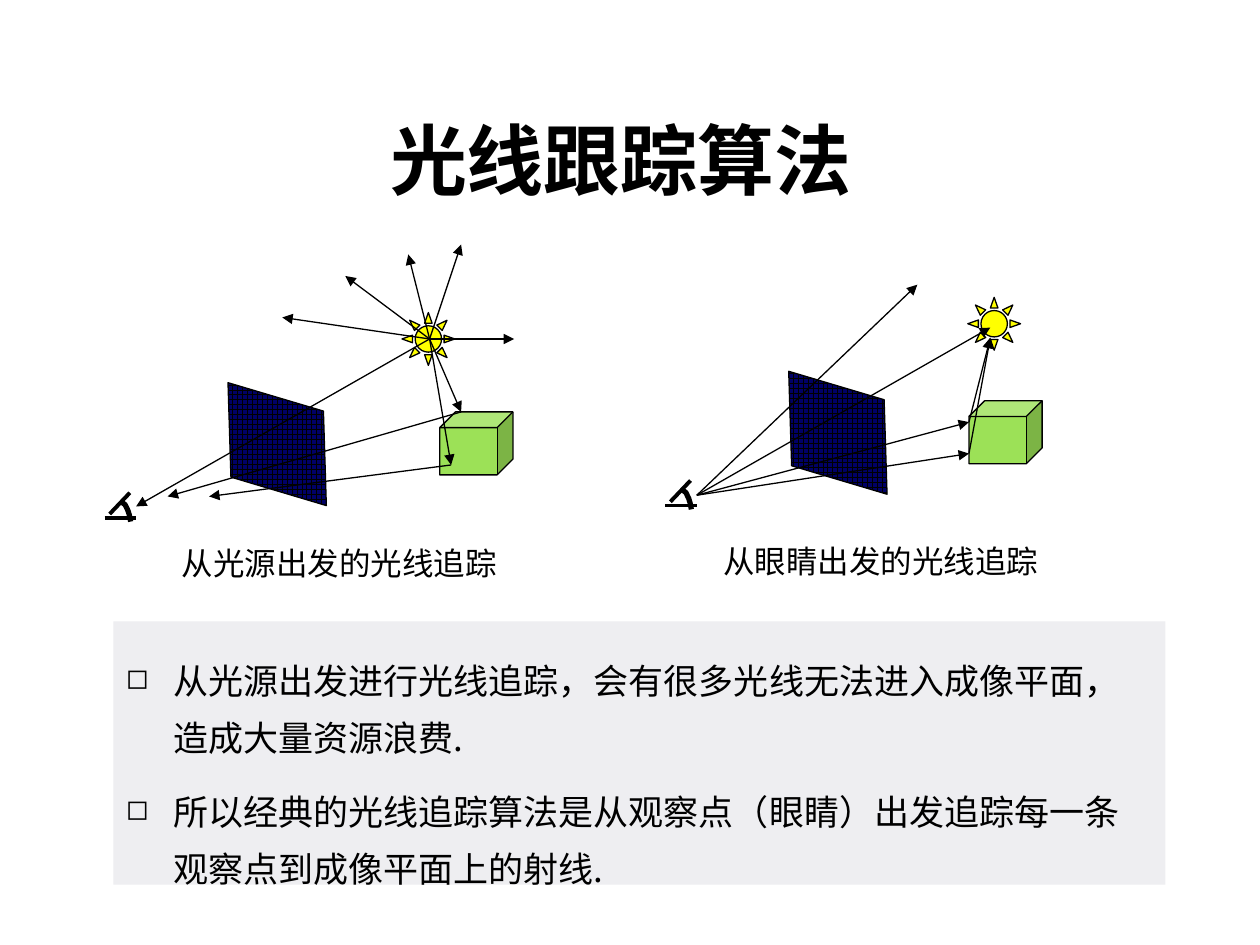
from typing import NamedTuple

from lxml.etree import SubElement
from pptx import Presentation
from pptx.dml.color import RGBColor
from pptx.enum.dml import MSO_PATTERN
from pptx.enum.shapes import MSO_CONNECTOR, MSO_SHAPE as Preset
from pptx.enum.text import MSO_ANCHOR, PP_ALIGN
from pptx.oxml.ns import qn
from pptx.util import Pt

BLACK = RGBColor(0x00, 0x00, 0x00)
NAVY = RGBColor(0x00, 0x00, 0x66)
YELLOW = RGBColor(0xFF, 0xFF, 0x00)
GREEN = RGBColor(0x9C, 0xE1, 0x57)
PALE = RGBColor(0xEE, 0xEE, 0xF1)


class Point(NamedTuple):
    x: float
    y: float


class Scene(NamedTuple):
    sun: Point
    screen: Point
    cube: Point
    eye: Point
    rays: list[tuple[Point, Point]]


class Label(NamedTuple):
    text: str
    left: float
    top: float
    width: float
    height: float
    size: float
    font: str
    bold: bool = False


LAMP = Point(245.5, 193.7)
LIT_TOP, LIT_FRONT = Point(263.5, 235.4), Point(257.8, 265.7)
SPREAD = [Point(161.3, 181.4), Point(197.3, 157.7), Point(263.5, 139.7),
          Point(293.8, 193.7), Point(233.3, 145.4), LIT_TOP, LIT_FRONT,
          Point(77.8, 289.4)]
VIEW, SUN_EDGE = Point(398.2, 283), Point(565.9, 193)
SEEN_TOP, SEEN_FRONT = Point(553.7, 241.2), Point(553.7, 259.2)
SIGHT = [Point(524.2, 162.7), Point(565.9, 187.2), SEEN_TOP, SEEN_FRONT]

SCENES = [
    Scene(Point(229.7, 178.6), Point(122.4, 226.8), Point(251.3, 235.4), Point(59.8, 295.9),
          [(LAMP, end) for end in SPREAD]
          + [(LIT_TOP, Point(95.8, 283.7)), (LIT_FRONT, Point(119.5, 283.7))]),
    Scene(Point(553, 169.9), Point(442.8, 220.3), Point(553.7, 229), Point(380.2, 288.9),
          [(VIEW, end) for end in SIGHT]
          + [(SEEN_FRONT, SUN_EDGE), (SEEN_TOP, SUN_EDGE)]),
]
LABELS = [
    Label("光线跟踪算法", 31, 60.5, 648, 60.5, 44, "Times New Roman", True),
    Label("从眼睛出发的光线追踪", 398.2, 306, 210.2, 28.8, 18, "Vollkorn"),
    Label("从光源出发的光线追踪", 77.8, 307.4, 231.8, 28.8, 18, "Vollkorn"),
]
POINTS = [
    "从光源出发进行光线追踪，会有很多光线无法进入成像平面，造成大量资源浪费.",
    "所以经典的光线追踪算法是从观察点（眼睛）出发追踪每一条观察点到成像平面上的射线.",
]
PUPIL = [Point(9.4, -9.2), Point(11.8, -7.4), Point(13.4, -4),
         Point(14.2, -1.4), Point(14.9, 2.2)]


def add_preset(page, preset: Preset, corner: Point, width: float, height: float,
               adjustment: float, color: RGBColor):
    shape = page.shapes.add_shape(preset, Pt(corner.x), Pt(corner.y), Pt(width), Pt(height))
    shape.shadow.inherit = False
    shape.adjustments[0] = adjustment
    shape.fill.solid()
    shape.fill.fore_color.rgb = color
    shape.line.color.rgb = BLACK
    shape.line.width = Pt(0.75)
    return shape


def add_line(page, start: Point, end: Point, width: float, arrow: bool = False) -> None:
    line = page.shapes.add_connector(
        MSO_CONNECTOR.STRAIGHT, Pt(start.x), Pt(start.y), Pt(end.x), Pt(end.y))
    line.line.color.rgb = BLACK
    line.line.width = Pt(width)
    if arrow:
        SubElement(line.line._get_or_add_ln(), qn("a:tailEnd"), type="triangle")
    SubElement(line._element.spPr, qn("a:effectLst"))


def add_eye(page, corner: Point) -> None:
    def place(point: Point) -> Point:
        return Point(corner.x + point.x, corner.y + point.y)

    first, *rest = [(Pt(x), Pt(y)) for x, y in map(place, PUPIL)]
    builder = page.shapes.build_freeform(*first)
    builder.add_line_segments(rest, close=False)
    pupil = builder.convert_to_shape()
    pupil.shadow.inherit = False
    pupil.fill.background()
    pupil.line.color.rgb = BLACK
    pupil.line.width = Pt(3)
    add_line(page, place(Point(2.9, -2.2)), place(Point(14.4, -14.3)), 2.25)
    add_line(page, corner, place(Point(18, 0)), 2.25)


def add_scene(page, scene: Scene) -> None:
    add_preset(page, Preset.SUN, scene.sun, 30.2, 30.2, 0.25, YELLOW)
    screen = add_preset(page, Preset.PARALLELOGRAM, scene.screen, 72, 54, 0.333, NAVY)
    screen.rotation = 88.2
    screen.fill.patterned()
    screen.fill.pattern = MSO_PATTERN.LARGE_GRID
    screen.fill.fore_color.rgb = BLACK
    screen.fill.back_color.rgb = NAVY
    add_eye(page, scene.eye)
    add_preset(page, Preset.CUBE, scene.cube, 41.8, 36, 0.25, GREEN)
    for start, end in scene.rays:
        add_line(page, start, end, 0.75, arrow=True)


def add_label(page, label: Label) -> None:
    box = page.shapes.add_textbox(
        Pt(label.left), Pt(label.top), Pt(label.width), Pt(label.height))
    frame = box.text_frame
    frame.word_wrap = True
    frame.vertical_anchor = MSO_ANCHOR.MIDDLE if label.bold else MSO_ANCHOR.TOP
    para = frame.paragraphs[0]
    para.text = label.text
    para.alignment = PP_ALIGN.CENTER
    style_font(para, label.size, label.font, label.bold)


def style_font(para, size: float, name: str, bold: bool = False) -> None:
    para.font.size = Pt(size)
    para.font.name = name
    para.font.bold = bold
    para.font.color.rgb = BLACK


def add_points(page) -> None:
    box = page.shapes.add_textbox(Pt(64.8), Pt(355), Pt(601.2), Pt(150.5))
    box.fill.solid()
    box.fill.fore_color.rgb = PALE
    frame = box.text_frame
    frame.word_wrap = True
    frame.margin_top = Pt(13.6)
    for index, text in enumerate(POINTS):
        para = frame.add_paragraph() if index else frame.paragraphs[0]
        para.text = text
        para.line_spacing = 1.35
        para.space_before = Pt(10 if index else 0)
        properties = para._p.get_or_add_pPr()
        properties.set("marL", str(Pt(27)))
        properties.set("indent", str(Pt(-27)))
        SubElement(properties, qn("a:buSzPct"), val="80000")
        SubElement(properties, qn("a:buChar"), char="◻")
        style_font(para, 20, "Noto Sans CJK SC")


def main() -> None:
    """Build the slide that compares ray tracing from the light and from the eye."""
    deck = Presentation()
    deck.slide_width, deck.slide_height = Pt(720), Pt(540)
    page = deck.slides.add_slide(deck.slide_layouts[6])
    for scene in SCENES:
        add_scene(page, scene)
    for label in LABELS:
        add_label(page, label)
    add_points(page)
    deck.save("out.pptx")


if __name__ == "__main__":
    main()
